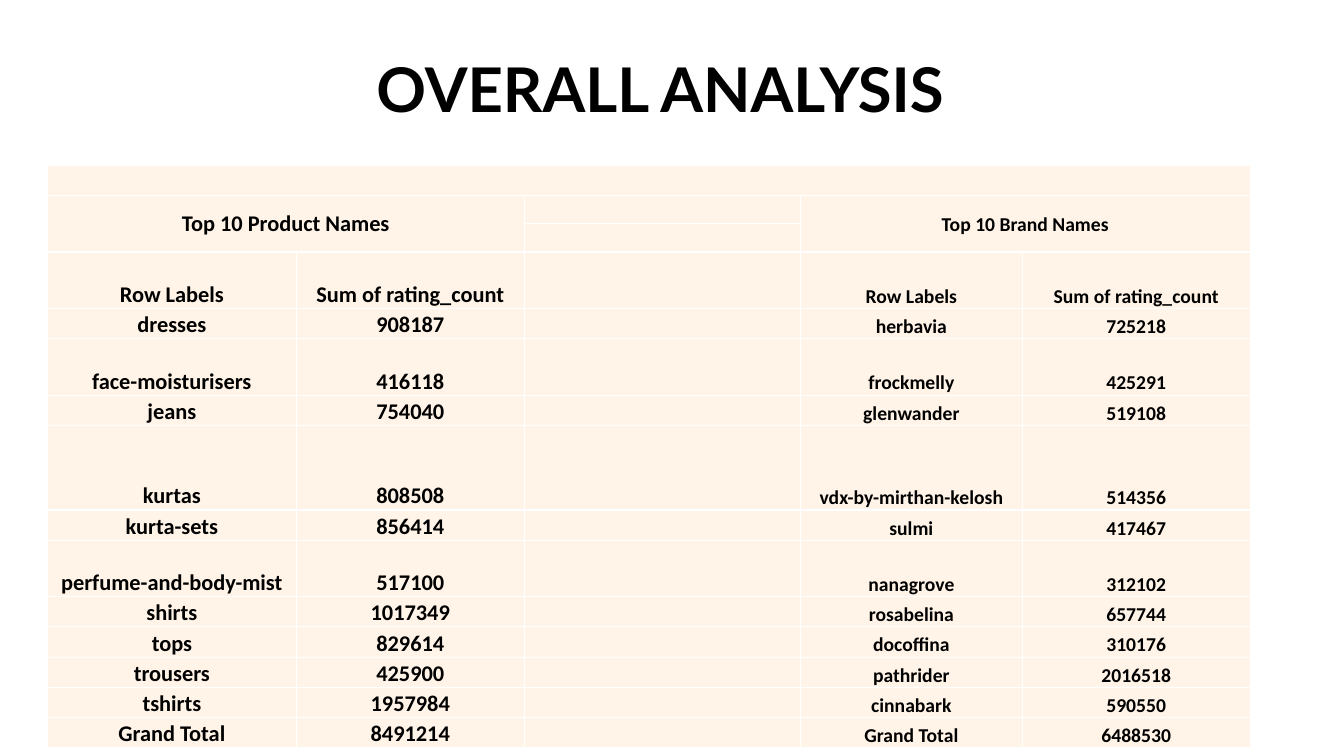
import pptx
import pptx.dml.color
import pptx.enum.text
import pptx.oxml
import pptx.oxml.ns
import pptx.util
from lxml import etree
from pptx.util import Inches

BLACK = pptx.dml.color.RGBColor(0x00, 0x00, 0x00)
WHITE = pptx.dml.color.RGBColor(0xFF, 0xFF, 0xFF)
CREAM = pptx.dml.color.RGBColor(0xFF, 0xF4, 0xE7)

PRODUCT_SIZE = 16
BRAND_SIZE = 14
COLUMN_WIDTHS = [2.47, 2.26, 2.74, 2.2, 2.26]
ROW_HEIGHTS = [0.3, 0.28, 0.28, 0.56, 0.3, 0.56, 0.3, 0.84, 0.3, 0.56] + [0.3] * 5
FIRST_DATA_ROW = 3

HEADINGS = ("Row Labels", "Sum of rating_count")
PRODUCTS = [
    HEADINGS,
    ("dresses", "908187"),
    ("face-moisturisers", "416118"),
    ("jeans", "754040"),
    ("kurtas", "808508"),
    ("kurta-sets", "856414"),
    ("perfume-and-body-mist", "517100"),
    ("shirts", "1017349"),
    ("tops", "829614"),
    ("trousers", "425900"),
    ("tshirts", "1957984"),
    ("Grand Total", "8491214"),
]
BRANDS = [
    HEADINGS,
    ("herbavia", "725218"),
    ("frockmelly", "425291"),
    ("glenwander", "519108"),
    ("vdx-by-mirthan-kelosh", "514356"),
    ("sulmi", "417467"),
    ("nanagrove", "312102"),
    ("rosabelina", "657744"),
    ("docoffina", "310176"),
    ("pathrider", "2016518"),
    ("cinnabark", "590550"),
    ("Grand Total", "6488530"),
]


def format_runs(para, font_name, size):
    para.alignment = pptx.enum.text.PP_ALIGN.CENTER
    for span in para.runs:
        span.font.name = font_name
        span.font.size = pptx.util.Pt(size)
        span.font.bold = True
        span.font.color.rgb = BLACK


def add_title(page, text):
    title = page.shapes.title
    title.left, title.top = Inches(0.8), Inches(0.19)
    title.width, title.height = Inches(11.5), Inches(1.45)
    title.text_frame.text = text
    title.text_frame.vertical_anchor = pptx.enum.text.MSO_ANCHOR.MIDDLE
    para = title.text_frame.paragraphs[0]
    para.line_spacing = 0.9
    format_runs(para, "Lato", 44)


def add_borders(cell):
    properties = cell._tc.get_or_add_tcPr()
    for side in ("lnL", "lnR", "lnT", "lnB"):
        properties.append(pptx.oxml.parse_xml(
            f'<a:{side} {pptx.oxml.ns.nsdecls("a")} w="12700"><a:solidFill>'
            f'<a:srgbClr val="{WHITE}"/></a:solidFill></a:{side}>'))


def style_empty_cell(cell):
    """Give the cell its look, with small empty text so that rows stay low."""
    add_borders(cell)
    cell.fill.solid()
    cell.fill.fore_color.rgb = CREAM
    cell.margin_left = cell.margin_right = cell.margin_top = Inches(0.01)
    cell.margin_bottom = 0
    etree.SubElement(cell.text_frame.paragraphs[0]._p,
                     pptx.oxml.ns.qn("a:endParaRPr"), sz=str(BRAND_SIZE * 100))


def write_cell(cell, text, size, anchor=pptx.enum.text.MSO_ANCHOR.BOTTOM):
    cell.text_frame.text = text
    cell.vertical_anchor = anchor
    format_runs(cell.text_frame.paragraphs[0], "Calibri", size)


def add_ratings_grid(page):
    frame = page.shapes.add_table(
        len(ROW_HEIGHTS), len(COLUMN_WIDTHS), Inches(0.47), Inches(1.64),
        Inches(sum(COLUMN_WIDTHS)), Inches(sum(ROW_HEIGHTS)))
    table = frame.table
    for column, width in zip(table.columns, COLUMN_WIDTHS):
        column.width = Inches(width)
    for row, height in zip(table.rows, ROW_HEIGHTS):
        row.height = Inches(height)
    for cell in table.iter_cells():
        style_empty_cell(cell)
    table.cell(0, 0).merge(table.cell(0, len(COLUMN_WIDTHS) - 1))
    return table


def fill_ranking(table, first_column, heading, entries, size):
    heading_cell = table.cell(1, first_column)
    heading_cell.merge(table.cell(2, first_column + 1))
    write_cell(heading_cell, heading, size, pptx.enum.text.MSO_ANCHOR.MIDDLE)
    for row, entry in enumerate(entries, FIRST_DATA_ROW):
        for column, text in enumerate(entry, first_column):
            write_cell(table.cell(row, column), text, size)


def main():
    deck = pptx.Presentation()
    deck.slide_width, deck.slide_height = Inches(13.33), Inches(7.5)
    page = deck.slides.add_slide(deck.slide_layouts.get_by_name("Title Only"))
    add_title(page, "OVERALL ANALYSIS")
    table = add_ratings_grid(page)
    fill_ranking(table, 0, "Top 10 Product Names", PRODUCTS, PRODUCT_SIZE)
    fill_ranking(table, 3, "Top 10 Brand Names", BRANDS, BRAND_SIZE)
    deck.save("out.pptx")


if __name__ == "__main__":
    main()
